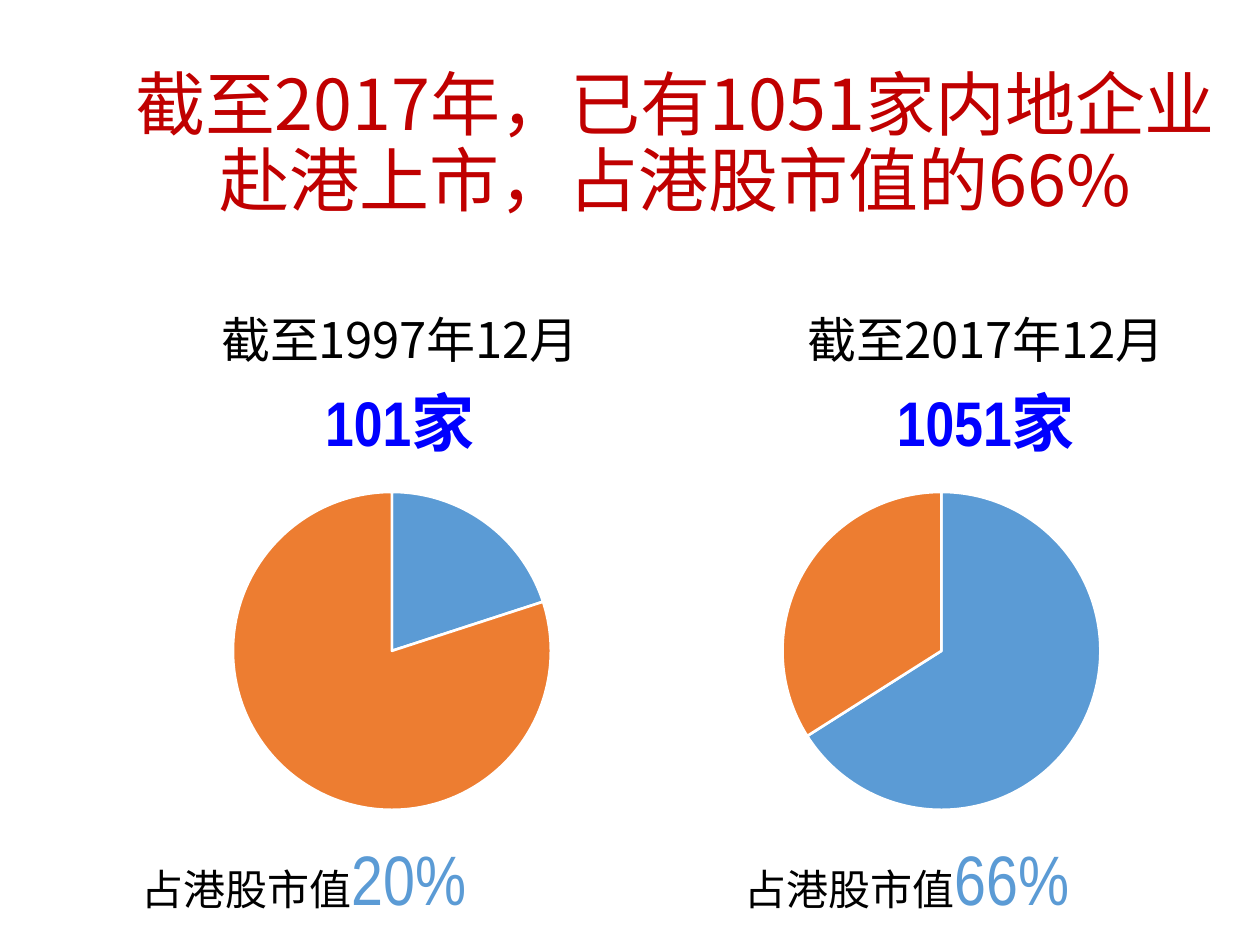
from dataclasses import dataclass

from lxml.etree import SubElement
from pptx import Presentation
from pptx.chart.data import CategoryChartData as ChartData
from pptx.dml.color import RGBColor
from pptx.enum.chart import XL_CHART_TYPE as ChartType
from pptx.enum.text import MSO_ANCHOR as Anchor, MSO_AUTO_SIZE as AutoSize, PP_ALIGN as Align
from pptx.oxml import parse_xml
from pptx.oxml.ns import nsdecls, qn
from pptx.util import Pt

PX = 914400 // 126


@dataclass(frozen=True)
class Theme:
    black: str = "000000"
    white: str = "FFFFFF"
    red: str = "C00000"
    bright_blue: str = "0000FF"
    slices: tuple = ("5B9BD5", "ED7D31")
    title_font: str = "Noto Sans CJK JP"
    text_font: str = "Noto Sans CJK SC"
    number_font: str = "Arial Narrow"
    chart_font: str = "Arial"
    large: int = 40
    count: int = 36
    period: int = 28
    label: int = 24
    small: int = 10


THEME = Theme()


def emu(*lengths):
    return [length * PX for length in lengths]


def add_text(para, text, *, size, color=THEME.black, font=THEME.text_font,
             asian=THEME.text_font, bold=False):
    span = para.add_run()
    span.text = text
    span.font.size = Pt(size)
    span.font.bold = bold
    span.font.color.rgb = RGBColor.from_string(color)
    span.font.name = font
    SubElement(span.font._element, qn("a:ea"), typeface=asian)


def add_frame(page, box, anchor=Anchor.TOP):
    frame = page.shapes.add_textbox(*emu(*box)).text_frame
    frame.word_wrap = True
    frame.vertical_anchor = anchor
    return frame


def set_layout(parent, index, inner=False, **fractions):
    for old in parent.findall(qn("c:layout")):
        parent.remove(old)
    target = '<c:layoutTarget val="inner"/>' if inner else ""
    modes = "".join(f'<c:{axis}Mode val="edge"/>' for axis in "xy")
    values = "".join(f'<c:{key} val="{value:.4f}"/>' for key, value in fractions.items())
    parent.insert(index, parse_xml(
        f'<c:layout {nsdecls("c")}><c:manualLayout>{target}{modes}{values}'
        "</c:manualLayout></c:layout>"))


def add_headline(page, box):
    para = add_frame(page, box, Anchor.MIDDLE).paragraphs[0]
    para.alignment = Align.CENTER
    para.line_spacing = 0.9
    add_text(para, "截至2017年，已有1051家内地企业赴港上市，占港股市值的66%",
             size=THEME.large, color=THEME.red, font=THEME.title_font, asian=THEME.title_font)


def add_pie(page, box, year, count, share, title_left):
    width, height = box[2:]
    diameter = 318
    data = ChartData()
    data.categories = ["1", "2"]
    data.add_series("Series 1", (share, 100 - share))
    chart = page.shapes.add_chart(ChartType.PIE, *emu(*box), data).chart
    chart.has_legend = False
    chart.font.size = Pt(THEME.small)
    chart.font.name = THEME.chart_font
    chart.font.color.rgb = RGBColor.from_string(THEME.black)

    chart.has_title = True
    title = chart.chart_title
    frame = title.text_frame
    add_text(frame.paragraphs[0], f"截至{year}年12月", size=THEME.period)
    add_text(frame.add_paragraph(), f"{count}家", size=THEME.count,
             color=THEME.bright_blue, font=THEME.number_font, bold=True)
    set_layout(title._element, 1, x=title_left / width, y=16 / height)

    plot = chart.plots[0]
    plot.vary_by_categories = True
    for index, color in enumerate(THEME.slices):
        style = plot.series[0].points[index].format
        style.fill.solid()
        style.fill.fore_color.rgb = RGBColor.from_string(color)
        style.line.color.rgb = RGBColor.from_string(THEME.white)
        style.line.width = Pt(1.5)
    set_layout(chart._chartSpace.chart.plotArea, 0, inner=True,
               x=(width - diameter) / 2 / width, y=212 / height,
               w=diameter / width, h=diameter / height)


def add_share(page, box, share):
    frame = add_frame(page, box)
    frame.auto_size = AutoSize.SHAPE_TO_FIT_TEXT
    para = frame.paragraphs[0]
    add_text(para, "占港股市值", size=THEME.label)
    add_text(para, f"{share}%", size=THEME.large, color=THEME.slices[0],
             font=THEME.number_font)


def main():
    deck = Presentation()
    deck.slide_width, deck.slide_height = emu(1260, 945)
    page = deck.slides.add_slide(deck.slide_layouts[6])
    add_headline(page, (96, 54, 1158, 183))
    add_pie(page, (9, 280, 766, 549), 1997, 101, 20, title_left=209)
    add_pie(page, (599, 280, 685, 549), 2017, 1051, 66, title_left=205)
    add_share(page, (129, 829, 379, 97), 20)
    add_share(page, (732, 829, 418, 97), 66)
    deck.save("out.pptx")


if __name__ == "__main__":
    main()
